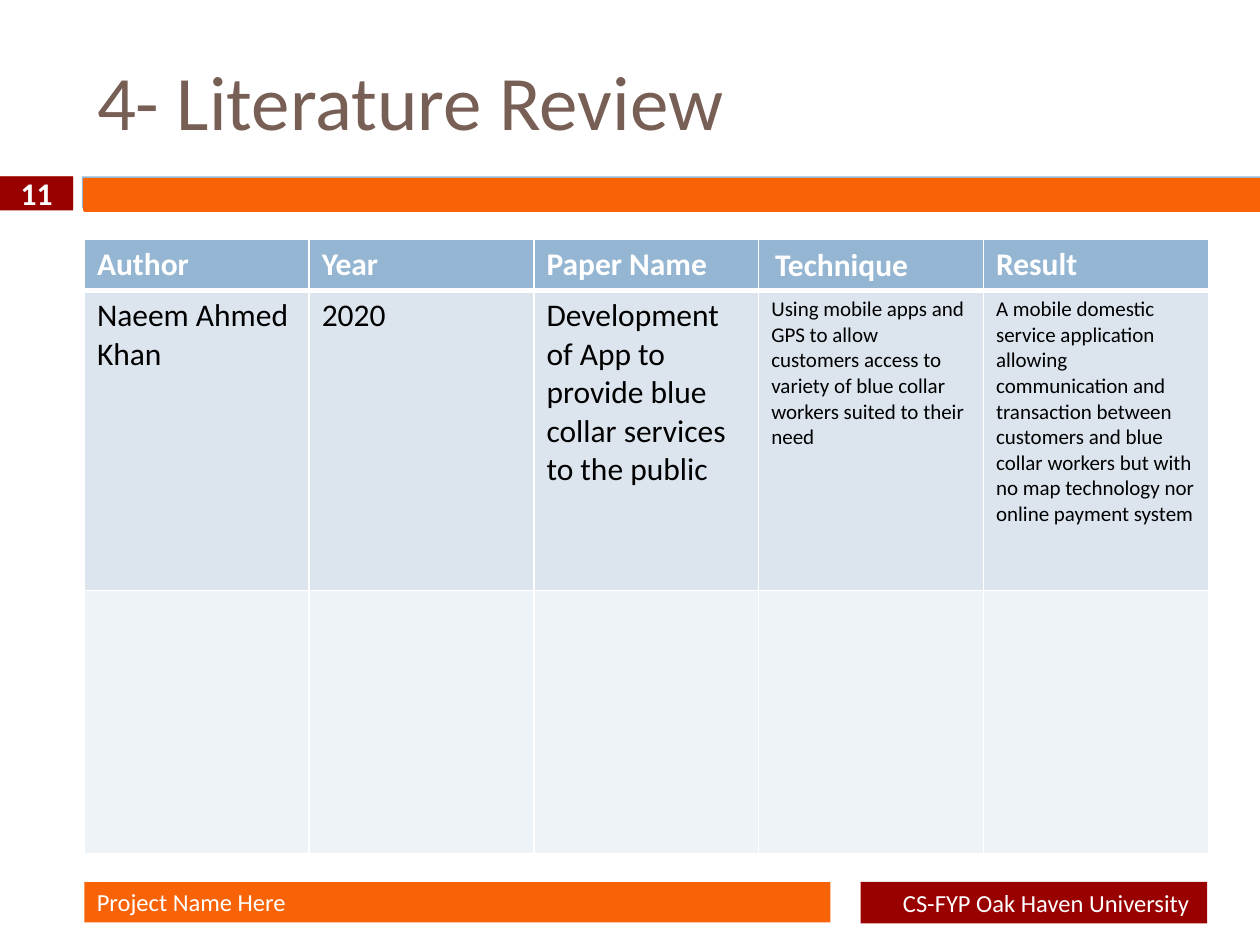
"""Build the literature review slide with its table and footer bars."""
from lxml.etree import SubElement
from pptx import Presentation
from pptx.dml.color import RGBColor
from pptx.enum.shapes import MSO_SHAPE as Shape
from pptx.enum.text import MSO_ANCHOR as Anchor, PP_ALIGN as Align
from pptx.oxml.ns import qn
from pptx.util import Inches, Pt

COLORS = {
    "white": "FFFFFF", "black": "000000", "title": "775F55",
    "orange": "F86308", "red": "990000", "tan": "DD8047", "blue": "94B6D2",
    "band_dark": "DCE5EE", "band_light": "EEF3F7",
}
TITLE = "4- Literature Review"
BARS = [
    {"box": (0, 1.4, 0.58, 0.25), "fill": "tan"},
    {"box": (0.65, 1.4, 9.35, 0.25), "fill": "blue"},
    {"box": (0.67, 1.42, 9.33, 0.25), "fill": "orange", "line": 1.5},
    {"box": (0.67, 7, 5.92, 0.32), "fill": "orange",
     "text": "Project Name Here"},
    {"box": (6.83, 7, 2.75, 0.33), "fill": "red", "right": 0.14,
     "text": "CS-FYP Oak Haven University",
     "format": {"align": Align.RIGHT}},
    {"box": (0, 1.4, 0.58, 0.27), "fill": "red", "text": "11",
     "format": {"size": 18, "bold": True, "align": Align.CENTER}},
]
HEADERS = ["Author", "Year", "Paper Name", "Technique", "Result"]
PAPER = [
    "Naeem Ahmed Khan",
    "2020",
    "Development of App to provide blue collar services to the public",
    "Using mobile apps and GPS to allow customers access to variety of "
    "blue collar workers suited to their need",
    "A mobile domestic service application allowing communication and "
    "transaction between customers and blue collar workers but with no map "
    "technology nor online payment system",
]
ROWS = [
    {"cells": HEADERS, "height": 0.4, "fill": "blue", "top": 1, "bottom": 3,
     "format": {"bold": True}, "sizes": [18] * 5},
    {"cells": PAPER, "height": 2.38, "fill": "band_dark", "top": 3,
     "bottom": 1, "format": {"color": "black"}, "sizes": [18, 18, 18, 12, 12]},
    {"cells": [""] * 5, "height": 2.09, "fill": "band_light", "top": 1,
     "bottom": 1, "format": {"color": "black"}, "sizes": [18] * 5},
]
TABLE_LEFT, TABLE_TOP, TABLE_WIDTH = 0.67, 1.9, 8.92


def rgb(name):
    """Return the named colour."""
    return RGBColor.from_string(COLORS[name])


def write(frame, text, size=14, color="white", bold=False, align=Align.LEFT):
    """Put one formatted paragraph into a text frame."""
    frame.word_wrap = True
    paragraph = frame.paragraphs[0]
    paragraph.alignment = align
    run = paragraph.add_run()
    run.text = text
    run.font.name = "Calibri"
    run.font.size = Pt(size)
    run.font.bold = bold
    run.font.color.rgb = rgb(color)


def add_bar(slide, bar):
    """Add a filled rectangle with optional text."""
    box = [Inches(value) for value in bar["box"]]
    shape = slide.shapes.add_shape(Shape.RECTANGLE, *box)
    shape.shadow.inherit = False
    shape.fill.solid()
    shape.fill.fore_color.rgb = rgb(bar["fill"])
    if "line" in bar:
        shape.line.color.rgb = rgb(bar["fill"])
        shape.line.width = Pt(bar["line"])
    else:
        shape.line.fill.background()
    if "text" in bar:
        frame = shape.text_frame
        frame.vertical_anchor = Anchor.MIDDLE
        frame.margin_top = frame.margin_bottom = 0
        frame.margin_right = Inches(bar.get("right", 0.1))
        write(frame, bar["text"], **bar.get("format", {}))


def add_borders(cell, top, bottom):
    """Draw white borders around a table cell."""
    properties = cell._tc.get_or_add_tcPr()
    for side, width in {"L": 1, "R": 1, "T": top, "B": bottom}.items():
        line = SubElement(properties, qn(f"a:ln{side}"), w=str(Pt(width)))
        fill = SubElement(line, qn("a:solidFill"))
        SubElement(fill, qn("a:srgbClr"), val=COLORS["white"])


def add_review_table(slide):
    """Add the table of reviewed papers."""
    height = sum(row["height"] for row in ROWS)
    table = slide.shapes.add_table(
        len(ROWS), len(HEADERS), Inches(TABLE_LEFT), Inches(TABLE_TOP),
        Inches(TABLE_WIDTH), Inches(height)).table
    for row_index, row in enumerate(ROWS):
        table.rows[row_index].height = Inches(row["height"])
        for column_index, text in enumerate(row["cells"]):
            cell = table.cell(row_index, column_index)
            add_borders(cell, row["top"], row["bottom"])
            cell.fill.solid()
            cell.fill.fore_color.rgb = rgb(row["fill"])
            if text:
                write(cell.text_frame, text, size=row["sizes"][column_index],
                      **row["format"])
    technique = table.cell(0, HEADERS.index("Technique"))
    technique.margin_left = Inches(0.13)
    technique.margin_top = Inches(0.06)
    technique.margin_bottom = 0


def main():
    """Build and save the presentation."""
    presentation = Presentation()
    presentation.slide_width = Inches(10)
    presentation.slide_height = Inches(7.5)
    slide = presentation.slides.add_slide(presentation.slide_layouts[5])
    title = slide.shapes.title
    title.left, title.top = Inches(0.67), Inches(0.25)
    title.width, title.height = Inches(8.33), Inches(1.08)
    title.text_frame.vertical_anchor = Anchor.MIDDLE
    write(title.text_frame, TITLE, size=44, color="title")
    for bar in BARS:
        add_bar(slide, bar)
    add_review_table(slide)
    presentation.save("out.pptx")


if __name__ == "__main__":
    main()
